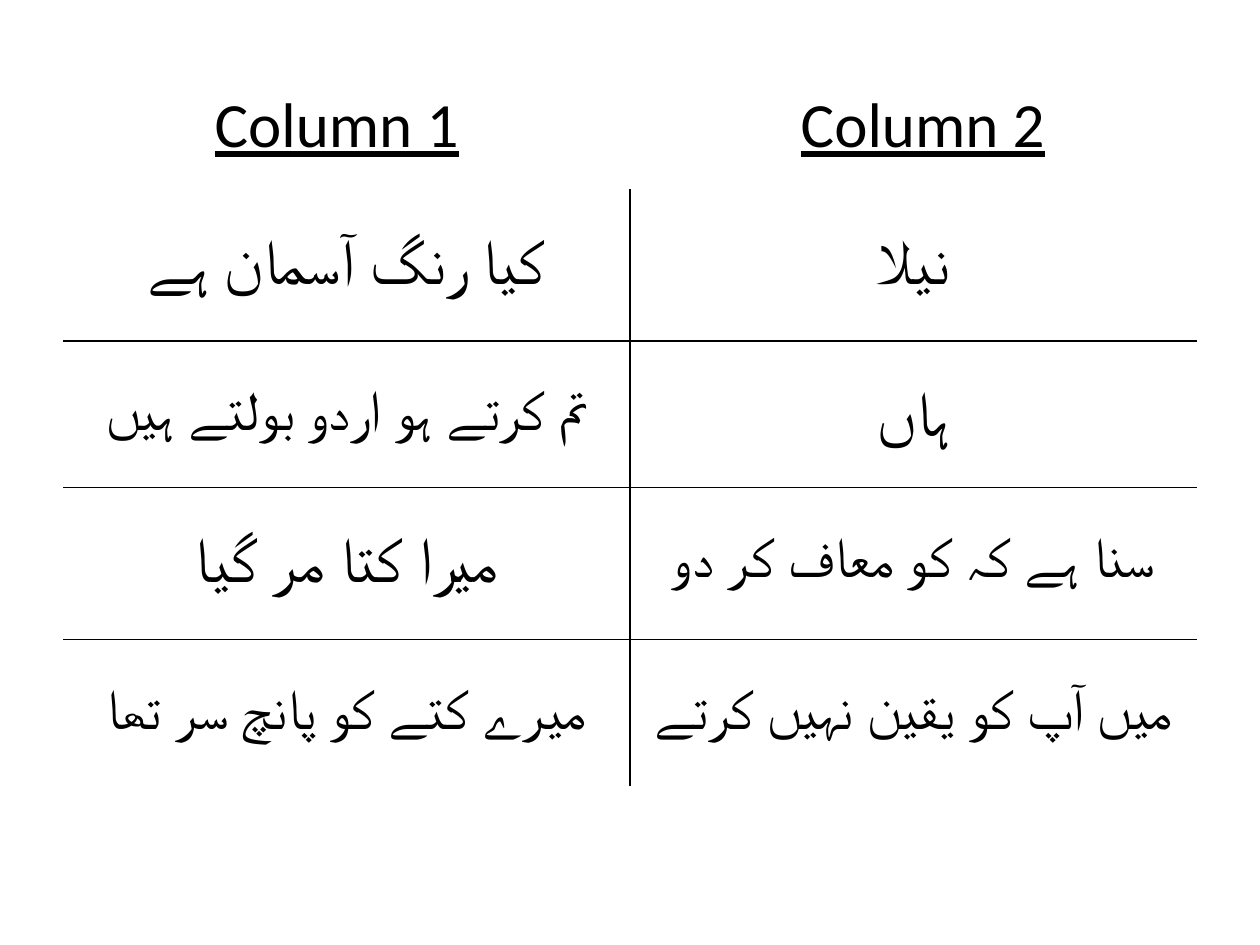
from dataclasses import dataclass

import pptx
import pptx.dml.color
import pptx.enum.text
import pptx.oxml
import pptx.oxml.ns
import pptx.util
from pptx.util import Pt


@dataclass(frozen=True)
class Theme:
    ink: str = "000000"
    font: str = "Calibri"
    lead: float = 44
    large: float = 36
    medium: float = 32
    rule: float = 1


@dataclass(frozen=True)
class Phrase:
    text: str
    size: float


THEME = Theme()
LEFT, TOP, WIDTH = 36, 108, 648
CELL_TOP_MARGIN = 25.6
HEADING_STOPS = (79.6, 414.5, 578)
ROW_HEIGHTS = (87, 83.5, 87, 83.5)
ROWS = (
    (Phrase("کیا رنگ آسمان ہے", THEME.large), Phrase("نیلا", THEME.large)),
    (Phrase("تم کرتے ہو اردو بولتے ہیں", THEME.medium), Phrase("ہاں", THEME.large)),
    (Phrase("میرا کتا مر گیا", THEME.large), Phrase("سنا ہے کہ کو معاف کر دو", THEME.medium)),
    (Phrase("میرے کتے کو پانچ سر تھا", THEME.medium), Phrase("میں آپ کو یقین نہیں کرتے", THEME.medium)),
)


def add_run(paragraph, text: str, size: float, underline: bool = False) -> None:
    run = paragraph.add_run()
    run.text = text
    run.font.name = THEME.font
    run.font.size = Pt(size)
    run.font.underline = underline
    run.font.color.rgb = pptx.dml.color.RGBColor.from_string(THEME.ink)


def add_headings(slide) -> None:
    """Place both column headings on one line, aligned by tab stops."""
    frame = slide.shapes.add_textbox(Pt(LEFT), Pt(21.6), Pt(WIDTH), Pt(90)).text_frame
    frame.word_wrap = True
    frame.vertical_anchor = pptx.enum.text.MSO_ANCHOR.MIDDLE
    headings = frame.paragraphs[0]
    properties = headings._p.get_or_add_pPr()
    tabs = pptx.oxml.parse_xml(f"<a:tabLst {pptx.oxml.ns.nsdecls('a')}/>")
    for stop in HEADING_STOPS:
        tab = tabs.makeelement(pptx.oxml.ns.qn("a:tab"), {"pos": str(Pt(stop)), "algn": "l"})
        tabs.append(tab)
    properties.append(tabs)
    add_run(headings, "\t", THEME.lead)
    add_run(headings, "Column 1", THEME.large, underline=True)
    add_run(headings, "\t", THEME.large)
    add_run(headings, "Column 2\t", THEME.large, underline=True)


def set_borders(cell, ruled: dict[str, bool]) -> None:
    """Rule the chosen sides, given in the order left, right, top, bottom."""
    properties = cell._tc.get_or_add_tcPr()
    for position, (side, visible) in enumerate(ruled.items()):
        paint = f'<a:solidFill><a:srgbClr val="{THEME.ink}"/></a:solidFill>' if visible else "<a:noFill/>"
        border = pptx.oxml.parse_xml(
            f'<a:ln{side} {pptx.oxml.ns.nsdecls("a")} w="{Pt(THEME.rule)}">{paint}</a:ln{side}>'
        )
        properties.insert(position, border)


def add_phrase(cell, phrase: Phrase) -> None:
    cell.fill.background()
    cell.margin_top = Pt(CELL_TOP_MARGIN)
    paragraph = cell.text_frame.paragraphs[0]
    paragraph.alignment = pptx.enum.text.PP_ALIGN.CENTER
    add_run(paragraph, phrase.text, phrase.size)


def add_phrase_table(slide) -> None:
    columns = len(ROWS[0])
    table = slide.shapes.add_table(
        len(ROWS), columns, Pt(LEFT), Pt(TOP), Pt(WIDTH), Pt(sum(ROW_HEIGHTS))
    ).table
    table.first_row = False
    table.horz_banding = False
    for r, (phrases, height) in enumerate(zip(ROWS, ROW_HEIGHTS)):
        table.rows[r].height = Pt(height)
        for c, phrase in enumerate(phrases):
            cell = table.cell(r, c)
            add_phrase(cell, phrase)
            set_borders(cell, {"L": c > 0, "R": c < columns - 1, "T": r > 0, "B": r < len(ROWS) - 1})


def main() -> None:
    deck = pptx.Presentation()
    deck.slide_width, deck.slide_height = Pt(720), Pt(540)
    slide = deck.slides.add_slide(deck.slide_layouts[6])
    add_headings(slide)
    add_phrase_table(slide)
    deck.save("out.pptx")


if __name__ == "__main__":
    main()
